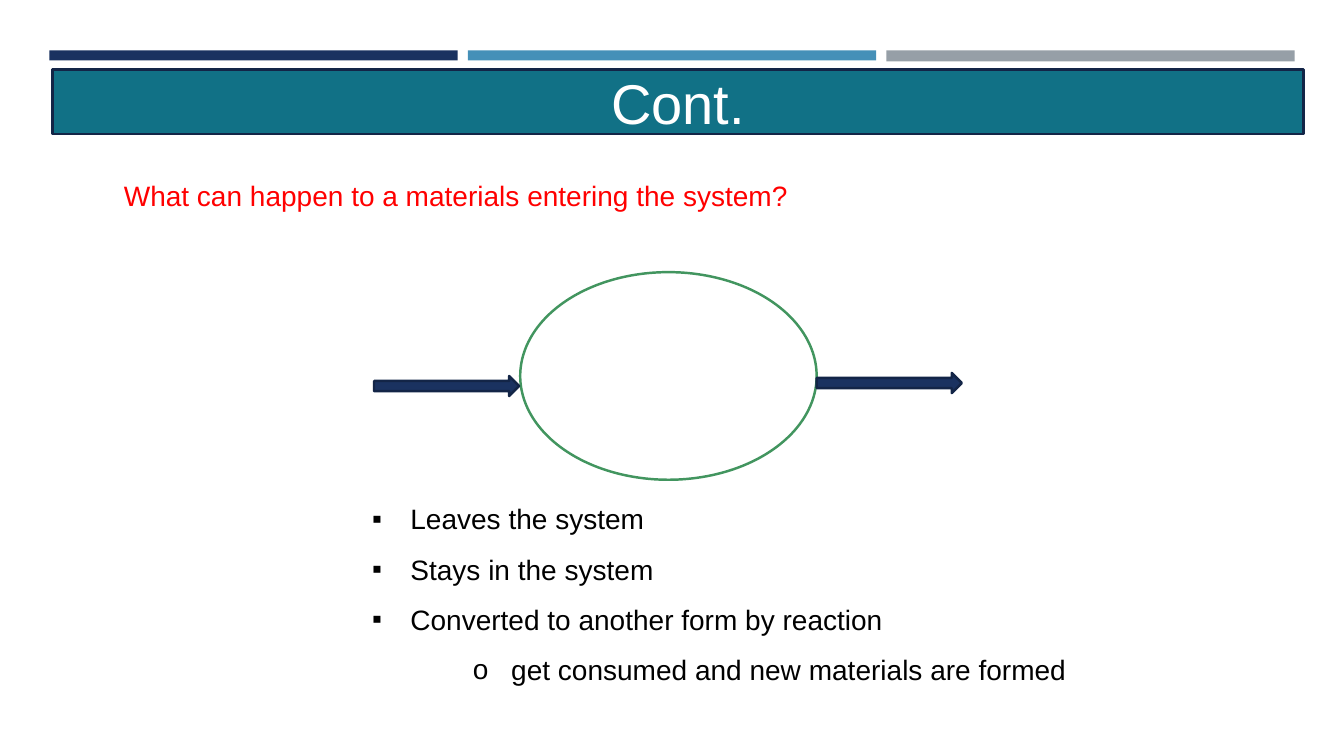
import pptx
import pptx.util
import pptx.dml.color
import pptx.enum.shapes
import pptx.enum.text
import pptx.oxml.ns
import lxml.etree

Inches = pptx.util.Inches
Pt = pptx.util.Pt
Kind = pptx.enum.shapes.MSO_SHAPE
Anchor = pptx.enum.text.MSO_ANCHOR
Align = pptx.enum.text.PP_ALIGN
Fit = pptx.enum.text.MSO_AUTO_SIZE


def paint(part, color):
    """Give a fill, line or font a solid colour from a hex string."""
    if hasattr(part, "solid"):
        part.solid()
        part = part.fore_color
    elif hasattr(part, "color"):
        part = part.color
    part.rgb = pptx.dml.color.RGBColor.from_string(color)


def style(para, size, color, form):
    """Set the font and the paragraph format."""
    for name, value in form.items():
        setattr(para, name, value)
    para.font.name = "Arial"
    para.font.size = Pt(size)
    paint(para.font, color)


deck = pptx.Presentation()
deck.slide_width = Inches(13.33)
deck.slide_height = Inches(7.5)
slide = deck.slides.add_slide(deck.slide_layouts[1])
title, body = slide.placeholders

# Places of the title, the list and the question
note = slide.shapes.add_textbox(0, 0, 0, 0)
places = [
    (title, 0.52, 0.69, 12.41, 0.64, Anchor.MIDDLE),
    (body, 3.59, 4.76, 7.13, 2.56, Anchor.TOP),
    (note, 1.13, 1.72, 6.83, 0.77, Anchor.TOP),
]
for box, left, top, width, height, anchor in places:
    box.left, box.top = Inches(left), Inches(top)
    box.width, box.height = Inches(width), Inches(height)
    frame = {"word_wrap": True, "auto_size": Fit.NONE, "vertical_anchor": anchor}
    for name, value in frame.items():
        setattr(box.text_frame, name, value)

# Title band
title.text_frame.text = "Cont."
style(title.text_frame.paragraphs[0], 40, "FFFFFF", {"alignment": Align.CENTER})
paint(title.fill, "117186")
paint(title.line, "132547")
title.line.width = Pt(1.75)

# Question
note.text_frame.text = "What can happen to a materials entering the system?"
style(note.text_frame.paragraphs[0], 20, "FF0000", {"alignment": Align.LEFT})

# Top bars, the system and its flows
shapes = [
    (Kind.RECTANGLE, 0.49, 0.5, 4.05, 0.1, "1A3260", None),
    (Kind.RECTANGLE, 4.64, 0.5, 4.05, 0.1, "4590B8", None),
    (Kind.RECTANGLE, 8.79, 0.5, 4.05, 0.11, "969FA7", None),
    (Kind.OVAL, 5.16, 2.7, 2.94, 2.06, "FFFFFF", "42955F"),
    (Kind.RIGHT_ARROW, 3.71, 3.73, 1.44, 0.2, "1A3260", "132547"),
    (Kind.RIGHT_ARROW, 8.1, 3.7, 1.44, 0.2, "1A3260", "132547"),
]
for kind, left, top, width, height, fill, line in shapes:
    shape = slide.shapes.add_shape(
        kind, Inches(left), Inches(top), Inches(width), Inches(height))
    shape.shadow.inherit = False
    paint(shape.fill, fill)
    if line:
        paint(shape.line, line)
        shape.line.width = Pt(1.75)
    else:
        shape.line.fill.background()

# List of outcomes
items = [
    ("Leaves the system", 0, "▪"),
    ("Stays in the system", 0, "▪"),
    ("Converted to another form by reaction", 0, "▪"),
    ("get consumed and new materials are formed", 2, "o"),
]
body.text_frame.text = "\n".join(item[0] for item in items)
form = {"line_spacing": 1.5, "space_before": Pt(0), "space_after": Pt(0)}
for para, (text, level, mark) in zip(body.text_frame.paragraphs, items):
    style(para, 20, "000000", {**form, "level": level})
    props = para._p.get_or_add_pPr()
    props.set("marL", str(Inches(0.38 + level * 0.5)))
    props.set("indent", str(Inches(-0.38)))
    for tag, key, value in [("a:buFont", "typeface", "Arial"),
                            ("a:buChar", "char", mark)]:
        bullet = lxml.etree.SubElement(props, pptx.oxml.ns.qn(tag))
        bullet.set(key, value)

deck.save("out.pptx")
